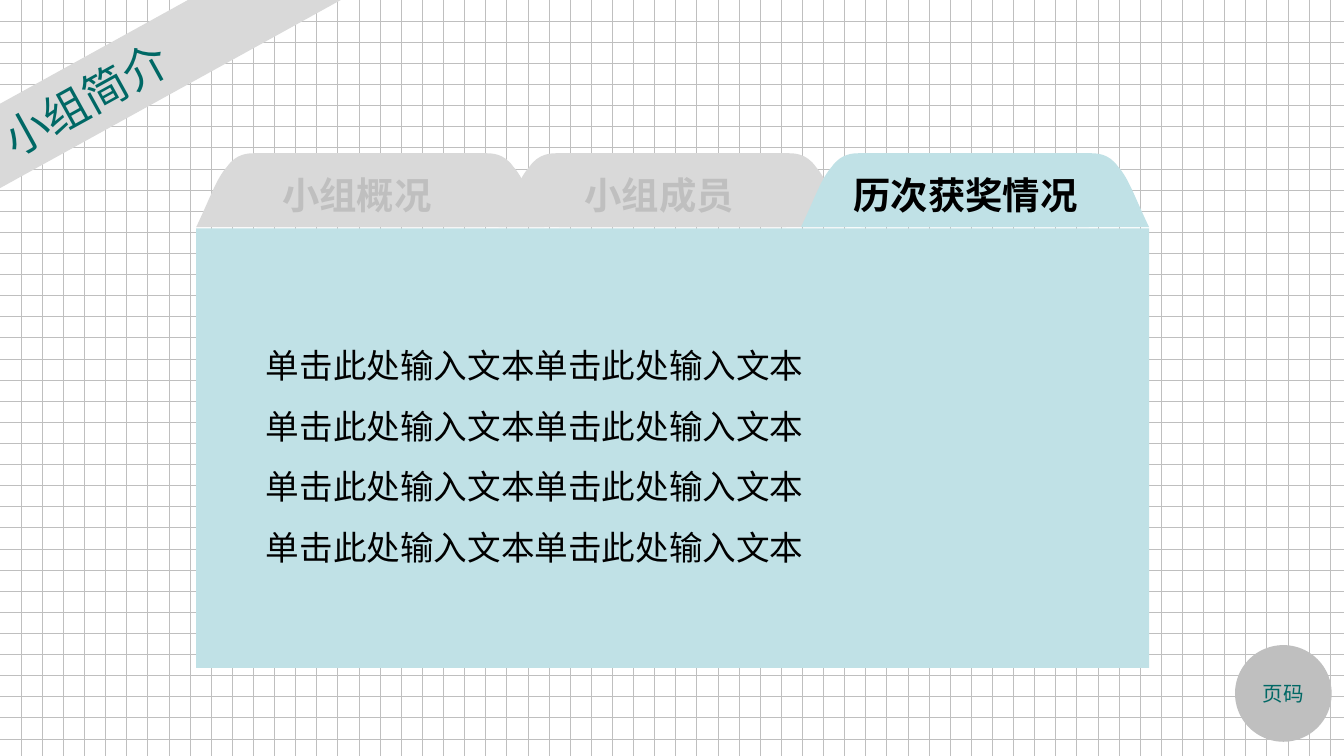
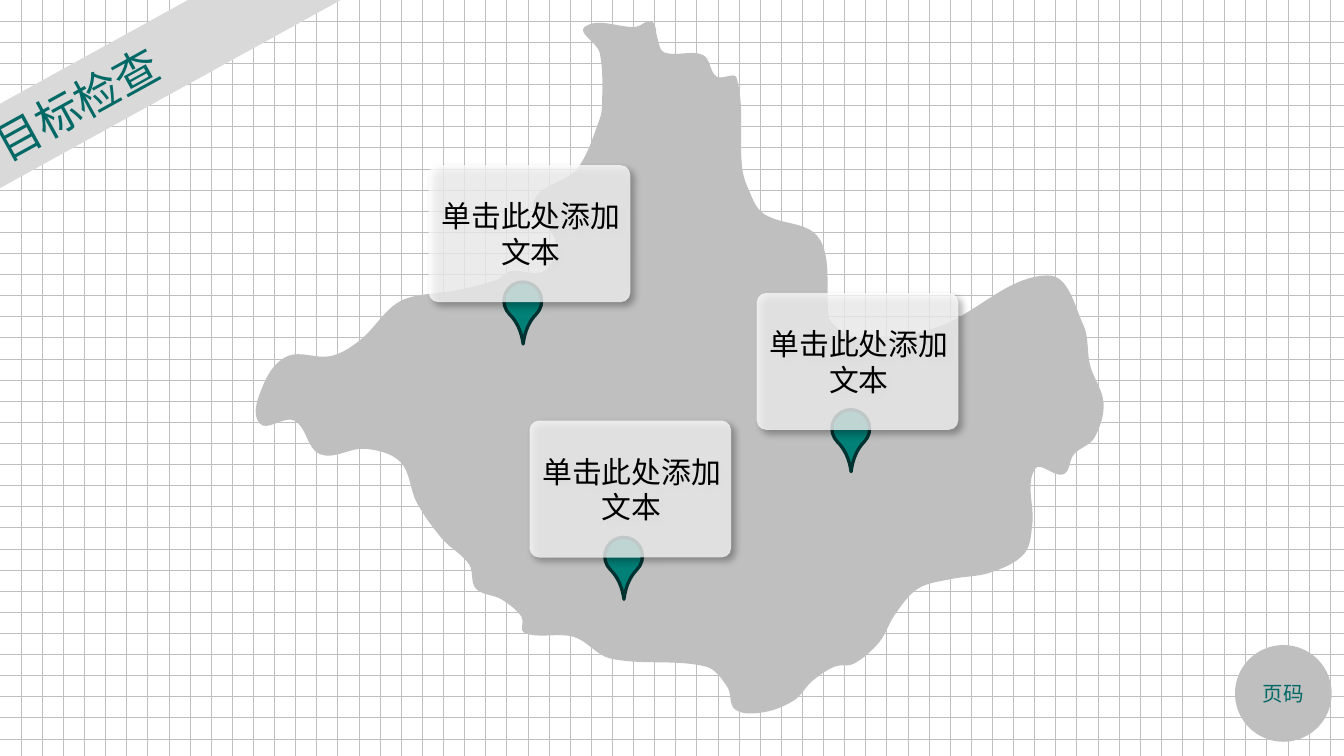
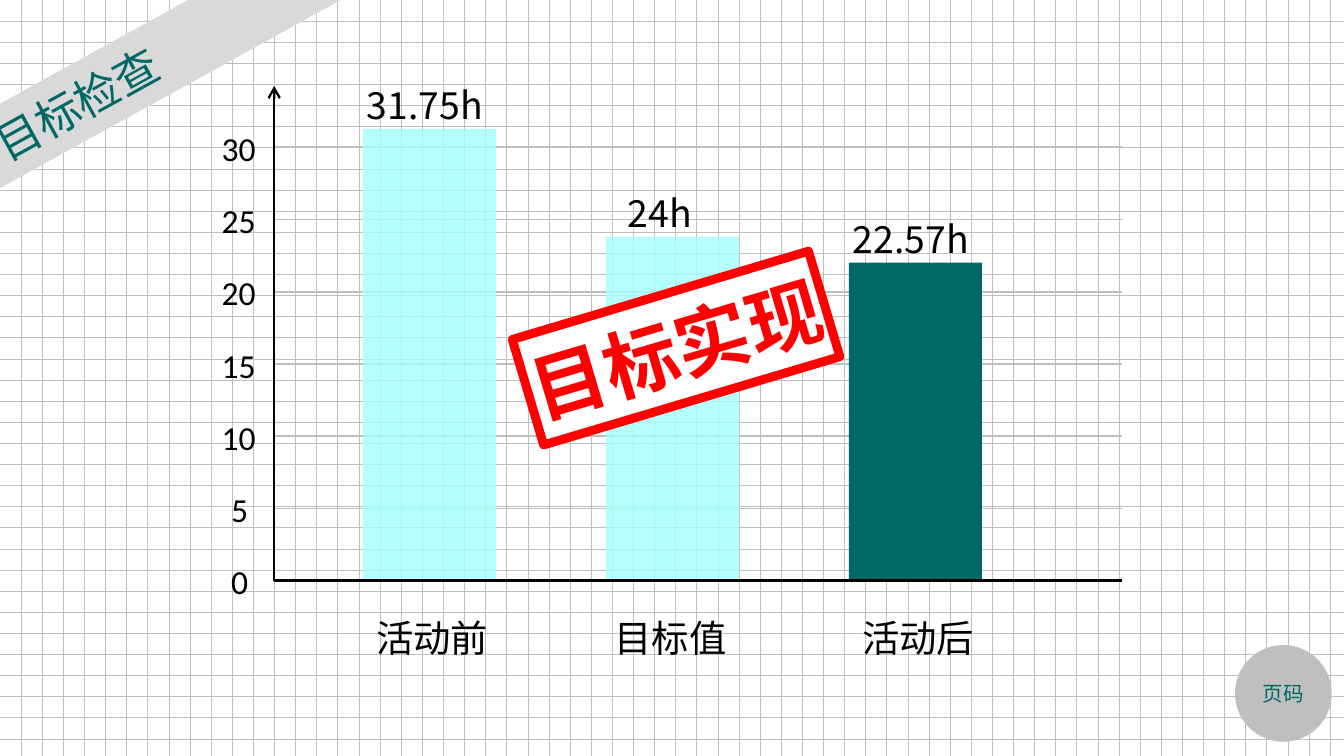
from math import hypot

from lxml.etree import SubElement
from pptx import Presentation
from pptx.dml.color import RGBColor
from pptx.enum.dml import MSO_PATTERN_TYPE as Pat
from pptx.enum.shapes import MSO_CONNECTOR as Con, MSO_SHAPE as Geo
from pptx.enum.text import MSO_ANCHOR as Anc, MSO_AUTO_SIZE as Auto, PP_ALIGN as Al
from pptx.oxml.ns import qn
from pptx.util import Pt

WHITE = RGBColor(0xFF, 0xFF, 0xFF)
BLACK = RGBColor(0, 0, 0)
SILVER = RGBColor(0xBF, 0xBF, 0xBF)
PALE = RGBColor(0xD9, 0xD9, 0xD9)
TEAL = RGBColor(0x00, 0x68, 0x65)
PIN = RGBColor(0x00, 0x80, 0x77)
DARK = RGBColor(0x00, 0x32, 0x31)
SKY = RGBColor(0xC0, 0xE1, 0xE6)
AQUA = RGBColor(0xA3, 0xFF, 0xFD)
RED = RGBColor(0xFF, 0, 0)

HAN, LATIN = "Noto Sans CJK SC", "Calibri"
TITLE_LIST, TITLE_ONLY = 1, 5
FRAME = dict(word_wrap=True, auto_size=Auto.NONE, vertical_anchor=Anc.TOP)
MIDDLE = dict(vertical_anchor=Anc.MIDDLE)
LEFT, CENTER = dict(alignment=Al.LEFT), dict(alignment=Al.CENTER)
SHADE = dict(blurRad=Pt(4), dist=Pt(3), dir=45 * 60000, algn="tl", rotWithShape=0)

TAB_GRID = 259, 55
TAB = [(44, 0), (203, 0), (209, 0, 214, 4, 214, 10), (214, 55), (0, 55),
       (11, 32, 15, 19, 23, 10), (30, 0, 39, 0, 44, 0)]
MAP_GRID = 628, 515
COAST = [
    (242, 4), (280, 4), (292, 0), (296, 12), (301, 23), (330, 25), (340, 41),
    (355, 42), (359, 108), (363, 123), (375, 143), (411, 156), (421, 173),
    (423, 212), (425, 223), (442, 235), (463, 237), (508, 226), (587, 189),
    (613, 226), (618, 256), (628, 284), (621, 310), (606, 322), (598, 337),
    (577, 333), (575, 374), (569, 396), (544, 410), (514, 415), (490, 422),
    (473, 441), (461, 462), (442, 478), (428, 480), (411, 491), (398, 505),
    (375, 514), (354, 512), (348, 495), (332, 480), (261, 474), (234, 458),
    (197, 455), (195, 443), (180, 430), (161, 422), (156, 404), (136, 385),
    (117, 358), (105, 328), (79, 318), (45, 322), (26, 297), (0, 299),
    (3, 270), (21, 249), (53, 249), (75, 237), (99, 212), (113, 205),
    (147, 200), (177, 192), (186, 186), (213, 185), (220, 163), (204, 134),
    (236, 110), (253, 73), (255, 60), (253, 23)]


def apply(item, values):
    for name, value in values.items():
        setattr(item, name, value)


def place(shape, box):
    apply(shape, dict(zip(("left", "top", "width", "height"), map(Pt, box))))


def write(shape, lines, size, color=BLACK, face=HAN, bold=False,
          frame={}, para={}, inset=(7.2, 3.6, 7.2, 3.6)):
    text = shape.text_frame
    sides = ("margin_left", "margin_top", "margin_right", "margin_bottom")
    apply(text, {**FRAME, **dict(zip(sides, map(Pt, inset))), **frame})
    text.text = "\n".join(lines)
    for part in text.paragraphs:
        apply(part, {**LEFT, **para})
        for run in part.runs:
            run.font.color.rgb = color
            apply(run.font, dict(size=Pt(size), name=face, bold=bold))
            SubElement(run.font._element, qn("a:ea"), typeface=face)


def label(slide, box, words, size, **rest):
    write(slide.shapes.add_textbox(*map(Pt, box)), [words], size, **rest)


def paint(shape, fill, alpha=None, edge=None, wide=0):
    shape.shadow.inherit = False
    shape.fill.solid()
    shape.fill.fore_color.rgb = fill
    if alpha:
        tint = shape.element.spPr.find(qn("a:solidFill"))[0]
        SubElement(tint, qn("a:alpha"), val=str(alpha * 1000))
    if edge is None:
        shape.line.fill.background()
    else:
        shape.line.color.rgb = edge
        shape.line.width = Pt(wide)


def solid(slide, kind, box, fill, **rest):
    shape = slide.shapes.add_shape(kind, *map(Pt, box))
    paint(shape, fill, **rest)
    return shape


def rule(slide, start, end, color, wide, arrow=False):
    line = slide.shapes.add_connector(Con.STRAIGHT, *map(Pt, start + end))
    line.line.color.rgb = color
    line.line.width = Pt(wide)
    if arrow:
        SubElement(line.element.spPr.find(qn("a:ln")), qn("a:tailEnd"), type="arrow")
    SubElement(line.element.spPr, qn("a:effectLst"))


def trace(slide, box, grid, steps, fill):
    left, top, width, height = map(Pt, box)
    wide, high = width / grid[0], height / grid[1]
    scaled = [[(x * wide, y * high) for x, y in zip(s[::2], s[1::2])] for s in steps]
    pen = slide.shapes.build_freeform(*scaled[0][0])
    pen.add_line_segments([dot for step in scaled[1:] for dot in step], close=True)
    shape = pen.convert_to_shape(left, top)
    legs = iter(list(shape.element.iter(qn("a:lnTo"))))
    for step in scaled[1:]:
        leg = next(legs)
        if len(step) == 3:
            leg.tag = qn("a:cubicBezTo")
            for _ in range(2):
                extra = next(legs)
                leg.append(extra[0])
                extra.getparent().remove(extra)
    paint(shape, fill)


def smooth(dots):
    count = len(dots)
    lean = []
    for i in range(count):
        (ax, ay), (bx, by) = dots[i - 1], dots[(i + 1) % count]
        span = hypot(bx - ax, by - ay)
        lean.append(((bx - ax) / span, (by - ay) / span))
    steps = [dots[0]]
    for i in range(count):
        j = (i + 1) % count
        (ax, ay), (bx, by) = dots[i], dots[j]
        pull = hypot(bx - ax, by - ay) / 3
        steps.append((ax + lean[i][0] * pull, ay + lean[i][1] * pull,
                      bx - lean[j][0] * pull, by - lean[j][1] * pull, bx, by))
    return steps


def begin(deck, layout, title, indent):
    slide = deck.slides.add_slide(deck.slide_layouts[layout])
    band = slide.shapes.title
    place(band, (-68.4, 13.7, 298.8, 39.6))
    band.rotation = 331.1
    paint(band, PALE)
    write(band, [title], 24, TEAL, frame=MIDDLE, inset=(indent, 3.6, 7.2, 3.6))
    badge = solid(slide, Geo.OVAL, (661.6, 345.6, 51.8, 51.8), SILVER)
    write(badge, ["页码"], 11, TEAL, frame=MIDDLE, para=CENTER, inset=(0, 0, 0, 0))
    return slide


def tab(slide, box, words, indent, fill, color):
    left, top, width, height = box
    span = TAB_GRID[0]
    back = [tuple(v if i % 2 else span - v for i, v in enumerate(s)) for s in TAB]
    for half in (TAB, back):
        trace(slide, box, TAB_GRID, half, fill)
    label(slide, (left + indent, top + 6.5, width - indent - 19, 31.7), words, 20,
          color=color, bold=True)


def folder(slide, box):
    left, top, width, height = box
    high = 39.6
    panel = solid(slide, Geo.RECTANGLE, (left, top + high + 0.7, width, height - high - 0.7), SKY)
    body = slide.placeholders[1]
    body.element.addprevious(panel.element)
    place(body, (left + 30.2, top + 88.5, 450, 138.2))
    write(body, ["单击此处输入文本单击此处输入文本"] * 4, 18,
          para=dict(line_spacing=1.5, space_before=Pt(0)))
    for part in body.text_frame.paragraphs:
        props = part._p.get_or_add_pPr()
        props.set("marL", "0")
        props.set("indent", "0")
        SubElement(props, qn("a:buNone"))
    tabs = [("小组概况", 39, PALE, SILVER), ("小组成员", 39, PALE, SILVER),
            ("历次获奖情况", 21, SKY, BLACK)]
    wide = 186.5
    step = (width - wide) / (len(tabs) - 1)
    for i, look in enumerate(tabs):
        tab(slide, (left + i * step, top, wide, high), *look)


def marker(slide, box):
    left, top, width, height = box
    pin = solid(slide, Geo.TEAR, (left + 40.3, top + 62.6, 20.2, 20.2), PIN,
                edge=DARK, wide=1.75)
    pin.adjustments[0] = 1.616
    pin.rotation = 134.5
    card = solid(slide, Geo.ROUNDED_RECTANGLE, box, WHITE, alpha=75)
    card.adjustments[0] = 0.07
    glow = SubElement(card.element.spPr.find(qn("a:effectLst")), qn("a:outerShdw"),
                      {name: str(value) for name, value in SHADE.items()})
    tint = SubElement(glow, qn("a:srgbClr"), val=str(BLACK))
    SubElement(tint, qn("a:alpha"), val="40000")
    write(card, ["单击此处添加文本"], 16, frame=MIDDLE, para=CENTER,
          inset=(2.9, 3.6, 1.4, 3.6))


def region(slide, box):
    left, top, width, height = box
    trace(slide, box, MAP_GRID, smooth(COAST), SILVER)
    for x, y in ((90.7, 77), (144.7, 213.8), (266.4, 145.4)):
        marker(slide, (left + x, top + y, 108, 73.4))


def bars(slide, box):
    left, top, width, height = box
    right, base = left + width, top + height
    gap = 38.7
    for i in range(1, 7):
        rule(slide, (left, base - i * gap), (right, base - i * gap), SILVER, 1)
    rule(slide, (left, base), (left, top), BLACK, 1.25, arrow=True)
    for i in range(7):
        shift = 35.3 if i > 1 else 30.2
        label(slide, (left - shift, base - i * gap - 14, 35.3, 29), str(i * 5), 18, face=LATIN)
    data = [("活动前", "31.75h", 242, AQUA, 80, 0, -5),
            ("目标值", "24h", 184.3, AQUA, 80, -2.5, 4.5),
            ("活动后", "22.57h", 170.4, TEAL, None, 0, -5)]
    for i, (name, value, high, fill, alpha, nudge, shift) in enumerate(data):
        x = left + 47.5 + i * 130.2
        solid(slide, Geo.RECTANGLE, (x, base - high, 71.3, high), fill, alpha=alpha)
        label(slide, (x + nudge, base + 15, 85, 31.7), name, 20)
        label(slide, (x + shift, base - high - 28.5, 85, 31.7), value, 20)
    rule(slide, (left, base), (right, base), BLACK, 1.25)


def stamp(slide, box):
    seal = solid(slide, Geo.RECTANGLE, box, WHITE, edge=RED, wide=4.75)
    seal.rotation = 343.4
    write(seal, ["目标实现"], 40, RED, bold=True, frame=MIDDLE, para=CENTER,
          inset=(2.9, 2.9, 2.9, 2.9))


def main():
    deck = Presentation()
    apply(deck, dict(slide_width=Pt(720), slide_height=Pt(405)))
    fill = deck.slide_master.background.fill
    fill.patterned()
    fill.pattern = Pat.DOTTED_GRID
    fill.fore_color.rgb = SILVER
    fill.back_color.rgb = WHITE

    folder(begin(deck, TITLE_LIST, "小组简介", 61), (105.1, 82.1, 510.5, 275.8))
    region(begin(deck, TITLE_ONLY, "目标检查", 56), (139, 11.5, 452.2, 370.8))
    goal = begin(deck, TITLE_ONLY, "目标检查", 56)
    bars(goal, (146.9, 46.1, 454.3, 265))
    stamp(goal, (279.4, 157, 165.6, 59))
    deck.save("out.pptx")


if __name__ == "__main__":
    main()
